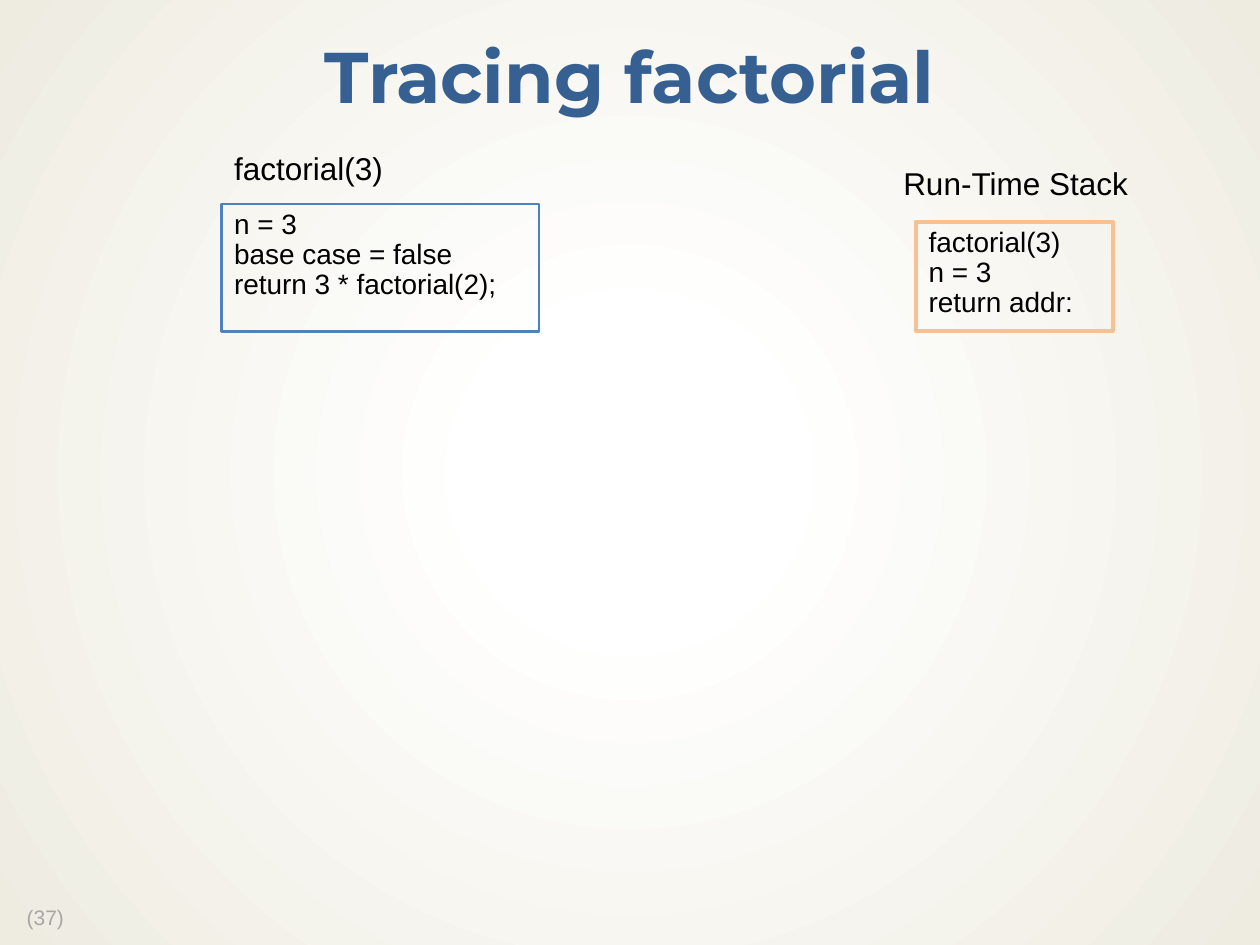
from lxml import etree
from pptx import Presentation
from pptx.dml.color import RGBColor
from pptx.enum.shapes import MSO_SHAPE
from pptx.enum.text import MSO_ANCHOR, PP_ALIGN
from pptx.oxml.ns import qn
from pptx.util import Cm, Pt

RECT = MSO_SHAPE.RECTANGLE
TOP, MIDDLE = MSO_ANCHOR.TOP, MSO_ANCHOR.MIDDLE
LEFT, CENTER = PP_ALIGN.LEFT, PP_ALIGN.CENTER
BLACK = "000000"


def color(text):
    return RGBColor.from_string(text)


def put(target, values):
    """Set each attribute of target named in values."""
    for name, value in values.items():
        setattr(target, name, value)


def paint(slide):
    """Fill the background with a glow from the centre."""
    fill = slide.background.fill
    fill.gradient()
    for stop, (place, tint) in zip(fill.gradient_stops,
                                   ((0.18, "FFFFFF"), (1, "EEECE1"))):
        stop.position = place
        stop.color.rgb = color(tint)
    grad = next(slide.element.iter(qn("a:gradFill")))
    grad.remove(grad.find(qn("a:lin")))
    glow = etree.SubElement(grad, qn("a:path"), path="circle")
    etree.SubElement(glow, qn("a:fillToRect"),
                     l="50000", t="50000", r="50000", b="50000")


def write(shape, lines, size, tint=BLACK, font="Arial", bold=False,
          align=LEFT, anchor=TOP, space=1.0, wrap=True):
    frame = shape.text_frame
    put(frame, {"text": "\n".join(lines), "word_wrap": wrap,
                "vertical_anchor": anchor})
    for para in frame.paragraphs:
        put(para, {"alignment": align, "line_spacing": space})
        put(para.font, {"name": font, "size": Pt(size), "bold": bold})
        para.font.color.rgb = color(tint)


def label(slide, area, text, size, **style):
    box = slide.shapes.add_textbox(*map(Cm, area))
    write(box, [text], size, **style)


def frame(slide, area, lines, tint, width):
    """Add an outlined box that lists the state of one call."""
    box = slide.shapes.add_shape(RECT, *map(Cm, area))
    box.shadow.inherit = False
    box.fill.background()
    box.line.color.rgb = color(tint)
    box.line.width = Pt(width)
    write(box, lines, 16, space=0.9)


def main():
    deck = Presentation()
    put(deck, {"slide_width": Cm(25.4), "slide_height": Cm(19.05)})
    slide = deck.slides.add_slide(deck.slide_layouts[6])
    paint(slide)

    label(slide, (0.29, 18.16, 1.3, 0.71), "(37)", 12, tint="A6A6A6",
          space=0.9, wrap=False)
    label(slide, (0, 0.43, 25.4, 2.39), "Tracing factorial", 41,
          tint="376092", font="Montserrat", bold=True, align=CENTER,
          anchor=MIDDLE, space=0.9)

    label(slide, (4.47, 2.87, 3.53, 1.02), "factorial(3)", 18, wrap=False)
    frame(slide, (4.47, 4.11, 6.4, 2.57),
          ["n = 3", "base case = false", "return 3 * factorial(2);"],
          "4F81BD", 1.5)

    label(slide, (17.96, 3.18, 5.08, 1.02), "Run-Time Stack", 18, wrap=False)
    frame(slide, (18.47, 4.47, 3.96, 2.21),
          ["factorial(3)", "n = 3", "return addr:"], "FAC090", 2.25)

    deck.save("out.pptx")


if __name__ == "__main__":
    main()
